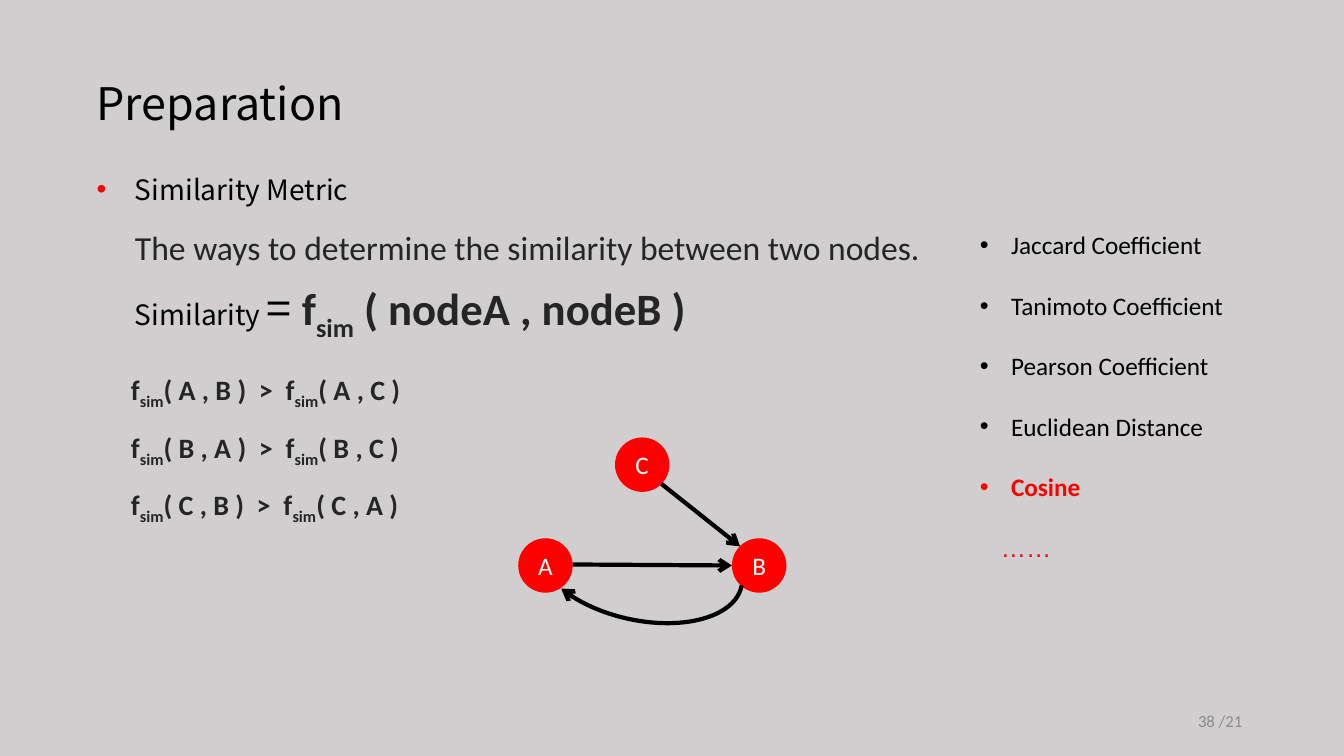
"""Build the slide that introduces similarity metrics between graph nodes."""
from dataclasses import dataclass
from typing import Optional

import lxml.etree
import pptx
import pptx.dml.color
import pptx.enum.shapes
import pptx.enum.text
import pptx.oxml.ns
import pptx.presentation
import pptx.shapes.autoshape
import pptx.slide
import pptx.text.text
import pptx.util

Inches = pptx.util.Inches
Align = pptx.enum.text.PP_ALIGN
Anchor = pptx.enum.text.MSO_ANCHOR
Fit = pptx.enum.text.MSO_AUTO_SIZE
ShapeType = pptx.enum.shapes.MSO_SHAPE
qualified = pptx.oxml.ns.qn


@dataclass(frozen=True)
class Theme:
    background: str = "D0CECE"
    ink: str = "000000"
    soft_ink: str = "252525"
    accent: str = "FF0000"
    muted: str = "8C8C8C"
    on_accent: str = "FFFFFF"
    heading_font: str = "Noto Sans CJK SC"
    body_font: str = "Calibri"
    symbol_font: str = "Arial"
    title_size: int = 32
    lead_size: int = 24
    text_size: int = 20
    label_size: int = 18
    footer_size: int = 12
    line_width: int = 3


THEME = Theme()


@dataclass(frozen=True)
class Style:
    size: int
    font: str = THEME.body_font
    color: str = THEME.ink
    bold: bool = False


@dataclass(frozen=True)
class Piece:
    text: str
    style: Optional[Style] = None
    subscript: bool = False


@dataclass(frozen=True)
class Line:
    pieces: list[Piece]
    style: Style
    spacing: Optional[float] = None
    margin: float = 0
    bullet_color: Optional[str] = None
    align: Optional[Align] = None


@dataclass(frozen=True)
class TextBlock:
    left: float
    top: float
    width: float
    height: float
    lines: list[Line]
    wrap: bool = True
    grow: bool = True


@dataclass(frozen=True)
class Node:
    label: str
    left: float
    top: float


@dataclass(frozen=True)
class Edge:
    start: tuple[float, float]
    end: tuple[float, float]


TITLE = Style(THEME.title_size, THEME.heading_font)
HEADING = Style(THEME.text_size, THEME.heading_font)
EQUALS = Style(THEME.title_size, THEME.heading_font)
FORMULA = Style(THEME.title_size, color=THEME.soft_ink, bold=True)
COMPARISON = Style(THEME.text_size, color=THEME.soft_ink, bold=True)
LEAD = Style(THEME.lead_size, color=THEME.soft_ink)
METRIC = Style(THEME.label_size)
CHOSEN_METRIC = Style(THEME.label_size, color=THEME.accent, bold=True)
MORE = Style(THEME.label_size, THEME.symbol_font, THEME.accent)
FOOTER = Style(THEME.footer_size, color=THEME.muted)
NODE_LABEL = Style(THEME.label_size, color=THEME.on_accent)
NODE_SIZE = 0.54
SUBSCRIPT = Piece("sim", subscript=True)


def metric(name: str, style: Style = METRIC) -> Line:
    """Describe one bulleted similarity metric."""
    return Line([Piece(name)], style, 2.0, 0.31, style.color)


def comparison(node: str, near: str, far: str) -> Line:
    """Describe the inequality that ranks two neighbours of a node."""
    pieces = [Piece("f"), SUBSCRIPT, Piece(f"( {node} , {near} )  >  f"),
              SUBSCRIPT, Piece(f"( {node} , {far} )")]
    return Line(pieces, COMPARISON, 1.5)


SIMILARITY = [Piece("Similarity ", HEADING), Piece("= ", EQUALS), Piece("f", FORMULA),
              Piece("sim", FORMULA, True), Piece(" ( nodeA , nodeB )", FORMULA)]
METRICS = [metric(f"{name} Coefficient") for name in ("Jaccard", "Tanimoto", "Pearson")]
METRICS += [metric("Euclidean Distance"), metric("Cosine", CHOSEN_METRIC),
            Line([Piece("……")], MORE, 2.0, 0.21)]
BLOCKS = [
    TextBlock(1.24, 2.2, 8.06, 0.5, [Line(
        [Piece("The ways to determine the similarity between two nodes.")], LEAD)], wrap=False),
    TextBlock(9.62, 1.93, 2.8, 3.74, METRICS, wrap=False),
    TextBlock(0.86, 0.7, 3.61, 0.64, [Line([Piece("Preparation")], TITLE)]),
    TextBlock(0.86, 1.66, 5.78, 0.44, [Line(
        [Piece("Similarity Metric")], HEADING, margin=0.38, bullet_color=THEME.accent)]),
    TextBlock(11.63, 6.95, 0.79, 0.4, [Line(
        [Piece("38 /21")], FOOTER, align=Align.RIGHT)], grow=False),
    TextBlock(1.24, 2.74, 5.99, 0.64, [Line(SIMILARITY, FORMULA)], wrap=False),
    TextBlock(1.2, 3.46, 3.08, 1.62, [comparison(*names) for names in ("ABC", "BAC", "CBA")]),
]
NODES = [Node("C", 6.1, 4.34), Node("B", 7.26, 5.34), Node("A", 5.14, 5.34)]
EDGES = [Edge((6.56, 4.8), (7.34, 5.42)), Edge((5.68, 5.6), (7.26, 5.61))]


def color(value: str) -> pptx.dml.color.RGBColor:
    """Turn a hexadecimal value into a colour."""
    return pptx.dml.color.RGBColor.from_string(value)


def apply_style(font: pptx.text.text.Font, style: Style) -> None:
    """Set the face, size, weight and colour of a font."""
    font.name, font.size, font.bold = style.font, pptx.util.Pt(style.size), style.bold
    font.color.rgb = color(style.color)


def write_line(paragraph: pptx.text.text._Paragraph, line: Line) -> None:
    """Write one described line into a paragraph."""
    properties = paragraph._p.get_or_add_pPr()
    if line.margin:
        properties.set("marL", str(Inches(line.margin)))
    if line.bullet_color:
        properties.set("indent", str(-Inches(line.margin)))
        bullet = lxml.etree.SubElement(properties, qualified("a:buClr"))
        lxml.etree.SubElement(bullet, qualified("a:srgbClr"), val=line.bullet_color)
        lxml.etree.SubElement(properties, qualified("a:buFont"), typeface=THEME.symbol_font)
        lxml.etree.SubElement(properties, qualified("a:buChar"), char="•")
    paragraph.line_spacing, paragraph.alignment = line.spacing, line.align
    apply_style(paragraph.font, line.style)
    for piece in line.pieces:
        run = paragraph.add_run()
        run.text = piece.text
        if piece.style:
            apply_style(run.font, piece.style)
        if piece.subscript:
            run._r.get_or_add_rPr().set("baseline", "-25000")


def add_text(slide: pptx.slide.Slide, block: TextBlock) -> None:
    """Add a text box with its lines."""
    box = slide.shapes.add_textbox(*map(Inches, (block.left, block.top, block.width, block.height)))
    frame = box.text_frame
    frame.word_wrap = block.wrap
    frame.auto_size = Fit.SHAPE_TO_FIT_TEXT if block.grow else Fit.NONE
    frame.vertical_anchor = Anchor.TOP if block.grow else Anchor.MIDDLE
    for index, line in enumerate(block.lines):
        write_line(frame.add_paragraph() if index else frame.paragraphs[0], line)


def add_node(slide: pptx.slide.Slide, node: Node) -> None:
    """Add a labelled graph node."""
    shape = slide.shapes.add_shape(
        ShapeType.OVAL, *map(Inches, (node.left, node.top, NODE_SIZE, NODE_SIZE)))
    shape.shadow.inherit = False
    shape.fill.solid()
    shape.fill.fore_color.rgb = color(THEME.accent)
    shape.line.fill.background()
    shape.text_frame.vertical_anchor = Anchor.MIDDLE
    write_line(shape.text_frame.paragraphs[0],
               Line([Piece(node.label)], NODE_LABEL, align=Align.CENTER))


def draw_arrow(line: pptx.dml.line.LineFormat, end: str) -> None:
    """Give a line its colour, width and arrowhead."""
    line.color.rgb = color(THEME.ink)
    line.width = pptx.util.Pt(THEME.line_width)
    lxml.etree.SubElement(line._get_or_add_ln(), qualified(f"a:{end}"), type="arrow")


def add_edge(slide: pptx.slide.Slide, edge: Edge) -> None:
    """Add a straight arrow between two nodes."""
    connector = slide.shapes.add_connector(
        pptx.enum.shapes.MSO_CONNECTOR.STRAIGHT, *map(Inches, edge.start + edge.end))
    draw_arrow(connector.line, "tailEnd")
    lxml.etree.SubElement(connector._element.spPr, qualified("a:effectLst"))


def add_return_edge(slide: pptx.slide.Slide) -> None:
    """Add the curved arrow from B back to A."""
    arc = slide.shapes.add_shape(ShapeType.ARC, *map(Inches, (5.3, 5.03, 2.08, 1.12)))
    arc.adjustments[0], arc.adjustments[1] = 126.42, 0.39
    arc.rotation = 12.8
    arc._element.spPr.find(qualified("a:xfrm")).set("flipV", "1")
    arc.shadow.inherit = False
    arc.fill.background()
    draw_arrow(arc.line, "headEnd")


def main() -> None:
    """Build and save the presentation."""
    presentation = pptx.Presentation()
    presentation.slide_width, presentation.slide_height = Inches(13.33), Inches(7.5)
    slide = presentation.slides.add_slide(presentation.slide_layouts[6])
    slide.background.fill.solid()
    slide.background.fill.fore_color.rgb = color(THEME.background)
    for block in BLOCKS:
        add_text(slide, block)
    for node in NODES:
        add_node(slide, node)
    for edge in EDGES:
        add_edge(slide, edge)
    add_return_edge(slide)
    presentation.save("out.pptx")


if __name__ == "__main__":
    main()
